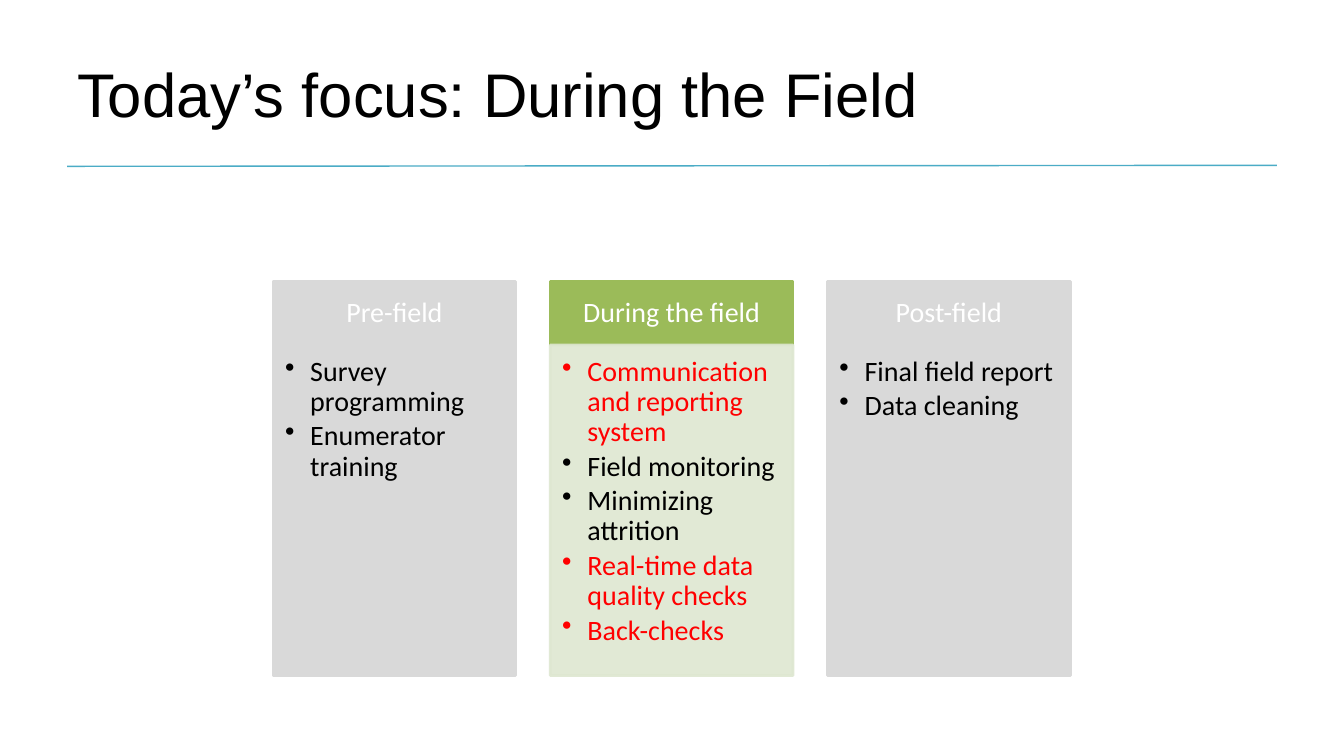
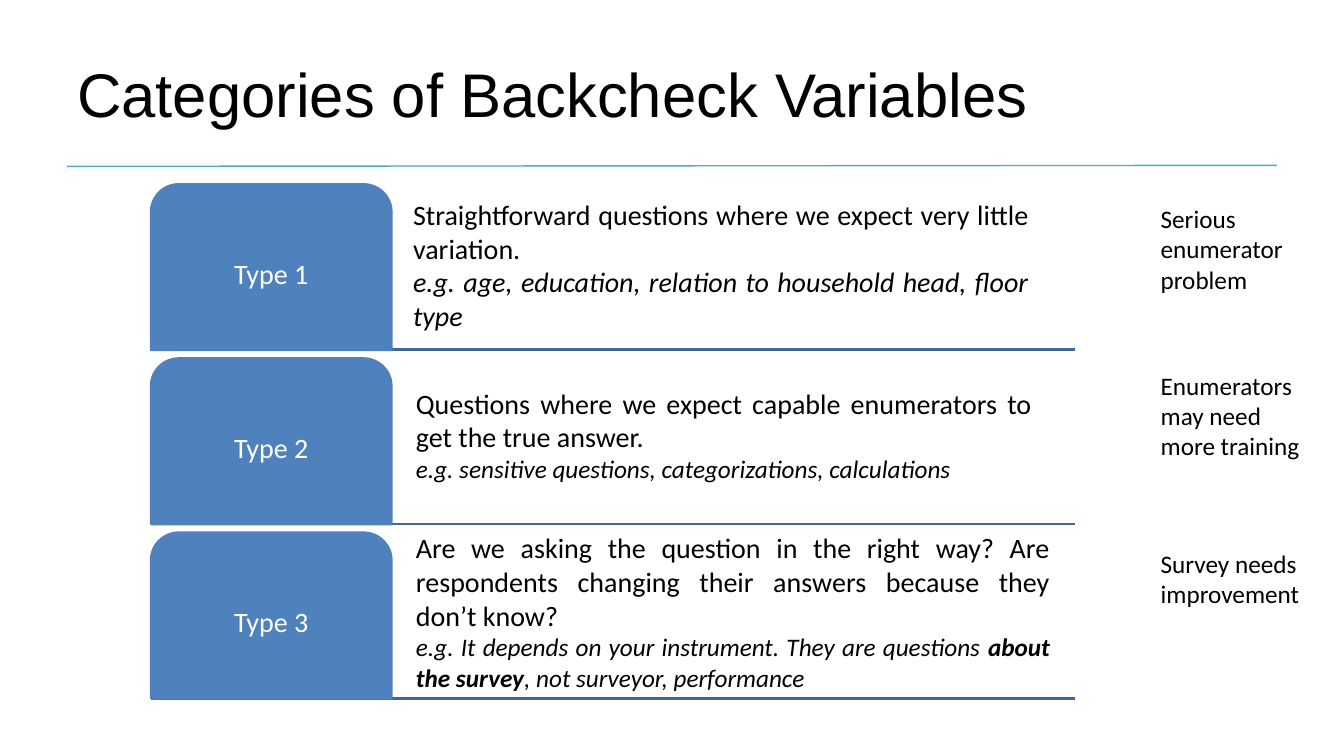
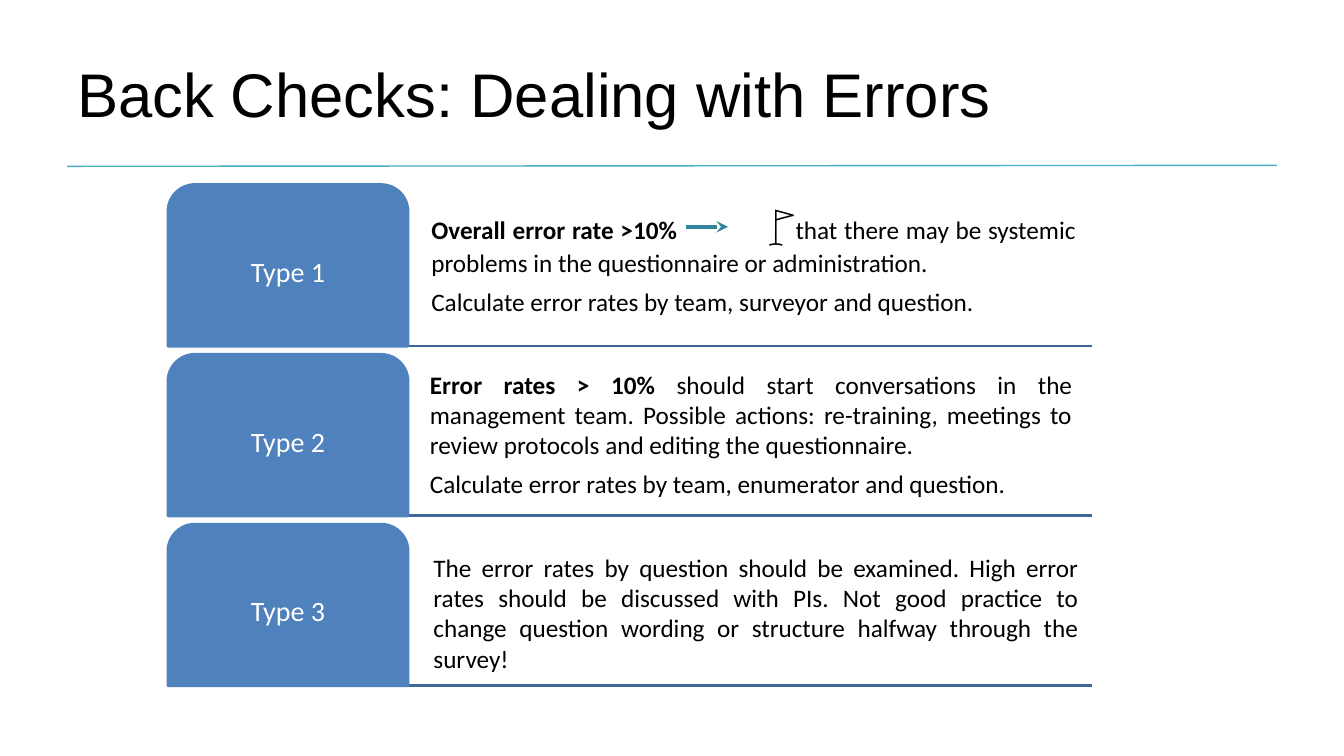
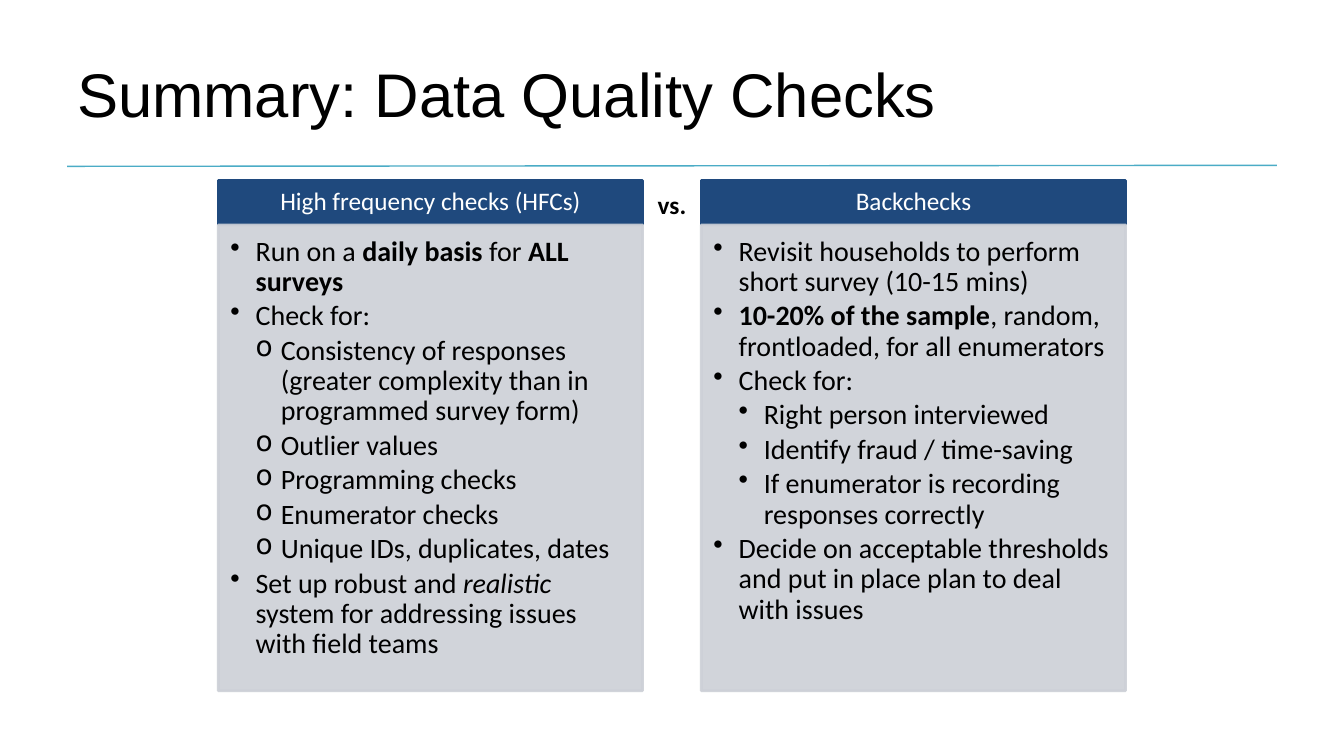
from dataclasses import dataclass

from lxml import etree
from pptx import Presentation
from pptx.dml.color import RGBColor
from pptx.enum.shapes import MSO_CONNECTOR, MSO_SHAPE
from pptx.enum.text import MSO_ANCHOR, PP_ALIGN
from pptx.oxml.ns import qn
from pptx.util import Pt

STRAIGHT = MSO_CONNECTOR.STRAIGHT
RECT = MSO_SHAPE.RECTANGLE
TAB = MSO_SHAPE.ROUND_2_SAME_RECTANGLE
TOP, MIDDLE = MSO_ANCHOR.TOP, MSO_ANCHOR.MIDDLE
LEFT, CENTER, JUSTIFY = PP_ALIGN.LEFT, PP_ALIGN.CENTER, PP_ALIGN.JUSTIFY


@dataclass(frozen=True)
class Theme:
    title_font: str = "Arial"
    font: str = "Calibri"
    title: int = 44
    flag: int = 28
    large: int = 20
    small: int = 18
    black: str = "000000"
    white: str = "FFFFFF"
    red: str = "FF0000"
    rule: str = "4BACC6"
    grey: str = "D9D9D9"
    green: str = "9BBB59"
    pale_green: str = "DEE7D1"
    blue: str = "4F81BD"
    row_line: str = "3F6797"
    arrow: str = "31859C"
    navy: str = "1F497D"
    pale_navy: str = "CDD0D7"


T = Theme()
INSETS = (7.2, 3.6, 7.2, 3.6)
BODY_INSETS = (8.6, 8.6, 11.5, 12.2)
BULLET_INDENT = 18
BOLD = {"bold": True}
ITALIC = {"italic": True}


def para(*runs, **fmt):
    """A paragraph: runs are strings or (string, format) pairs."""
    return runs, fmt


def bullet(*runs, level=1, char="•", **fmt):
    return para(*runs, level=level, bullet=char, line=0.9, after=3, **fmt)


def write(tf, paras, **base):
    for i, item in enumerate(paras):
        runs, own = para(item) if isinstance(item, str) else item
        fmt = {**base, **own}
        p = tf.paragraphs[0] if i == 0 else tf.add_paragraph()
        p.alignment = fmt.get("align", LEFT)
        p.line_spacing = fmt.get("line", 1.0)
        p.space_before = Pt(fmt.get("before", 0))
        p.space_after = Pt(fmt.get("after", 0))
        pPr = p._p.get_or_add_pPr()
        if "bullet" in fmt:
            pPr.set("marL", str(Pt(BULLET_INDENT * fmt["level"])))
            pPr.set("indent", str(Pt(-BULLET_INDENT)))
            etree.SubElement(pPr, qn("a:buChar"), char=fmt["bullet"])
        if "tab" in fmt:
            tabs = etree.SubElement(pPr, qn("a:tabLst"))
            etree.SubElement(tabs, qn("a:tab"), pos=str(Pt(fmt["tab"])), algn="l")
        for run in runs:
            text, extra = (run, {}) if isinstance(run, str) else run
            look = {**fmt, **extra}
            r = p.add_run()
            r.text = text
            r.font.name = look.get("font", T.font)
            r.font.size = Pt(look.get("size", T.large))
            r.font.bold = look.get("bold", False)
            r.font.italic = look.get("italic", False)
            r.font.color.rgb = RGBColor.from_string(look.get("color", T.black))


def set_frame(tf, anchor, insets, wrap=True):
    tf.word_wrap = wrap
    tf.vertical_anchor = anchor
    tf.margin_left, tf.margin_top, tf.margin_right, tf.margin_bottom = map(Pt, insets)


def add_text(s, box, paras, anchor=TOP, wrap=True, **fmt):
    sp = s.shapes.add_textbox(*map(Pt, box))
    set_frame(sp.text_frame, anchor, INSETS, wrap)
    write(sp.text_frame, paras, **fmt)


def add_box(s, kind, box, fill, paras, anchor=MIDDLE, insets=INSETS, alpha=100, **fmt):
    sp = s.shapes.add_shape(kind, *map(Pt, box))
    sp.shadow.inherit = False
    sp.line.width = Pt(2)
    for paint in (sp.fill, sp.line.fill):
        paint.solid()
        paint.fore_color.rgb = RGBColor.from_string(fill)
    if alpha < 100:
        for clr in sp._element.spPr.iter(qn("a:srgbClr")):
            etree.SubElement(clr, qn("a:alpha"), val=str(alpha * 1000))
    set_frame(sp.text_frame, anchor, insets)
    write(sp.text_frame, paras, **fmt)
    return sp


def add_line(s, x1, y1, x2, y2, color, width, arrow=False):
    cx = s.shapes.add_connector(STRAIGHT, Pt(x1), Pt(y1), Pt(x2), Pt(y2))
    cx.line.color.rgb = RGBColor.from_string(color)
    cx.line.width = Pt(width)
    if arrow:
        etree.SubElement(cx.line._get_or_add_ln(), qn("a:tailEnd"), type="stealth")
    etree.SubElement(cx._element.spPr, qn("a:effectLst"))


def titled_slide(prs, title):
    s = prs.slides.add_slide(prs.slide_layouts[6])
    add_line(s, 912, 118.1, 48, 118.8, T.rule, 1)
    add_text(s, (48, 21.6, 864, 90), [title], MIDDLE, font=T.title_font, size=T.title)
    return s


def column(s, box, head_h, head, items, head_color, body_color, alpha=100, size=T.large):
    """A heading band above a panel of bullets, filling the box."""
    x, y, w, h = box
    add_box(s, RECT, (x, y, w, head_h), head_color, [head],
            align=CENTER, line=0.9, color=T.white, size=size)
    add_box(s, RECT, (x, y + head_h, w, h - head_h), body_color, items, TOP,
            BODY_INSETS, alpha)


def type_rows(s, box, pitch, rows, **fmt):
    """Numbered tabs with underlines; each row gives its text's x, y, width and paragraphs."""
    x, y, w, h = box
    for i, (dx, dy, text_w, paras) in enumerate(rows):
        top = y + i * pitch
        add_line(s, x, top + h, x + w, top + h, T.row_line, 2)
        sp = add_box(s, TAB, (x, top, 171.5, h), T.blue, [f"Type {i + 1}"],
                     insets=(3, 8.5, 3, 3), align=CENTER, line=0.9, color=T.white)
        sp.adjustments[0], sp.adjustments[1] = 0.167, 0
        add_text(s, (x + dx, top + dy, text_w, h - dy), paras, align=JUSTIFY, **fmt)


def focus_slide(prs):
    s = titled_slide(prs, "Today’s focus: During the Field")
    red = {"color": T.red}
    columns = [
        ("Pre-field", T.grey, T.grey, 100,
         [bullet("Survey programming"), bullet("Enumerator training")]),
        ("During the field", T.green, T.pale_green, 90,
         [bullet("Communication and reporting system", **red),
          bullet("Field monitoring"),
          bullet("Minimizing attrition"),
          bullet("Real-time data quality checks", **red),
          bullet("Back-checks", **red)]),
        ("Post-field", T.grey, T.grey, 100,
         [bullet("Final field report"), bullet("Data cleaning")]),
    ]
    for i, (head, head_color, body_color, alpha, items) in enumerate(columns):
        column(s, (195 + i * 198, 201, 173.5, 281.5), 45.5, head, items,
               head_color, body_color, alpha)


def categories_slide(prs):
    s = titled_slide(prs, "Categories of Backcheck Variables")
    small = {"size": T.small, **ITALIC}
    x, y, pitch = 108, 131.8, 124.4
    type_rows(s, (x, y, 660, 118.1), pitch, [
        (180, 5.8, 454, [
            "Straightforward questions where we expect very little variation. ",
            para("e.g. age, education, relation to household head, floor type", **ITALIC)]),
        (182, 16, 454, [
            "Questions where we expect capable enumerators to get the true answer.",
            para("e.g. sensitive questions, categorizations, calculations", **small)]),
        (182, -5, 467, [
            "Are we asking the question in the right way? Are respondents changing "
            "their answers because they don’t know?",
            para("e.g. It depends on your instrument. They are questions ",
                 ("about the survey", BOLD), ", not surveyor, performance ", **small)]),
    ])
    verdicts = [(10, 108, "Serious enumerator problem"),
                (4.5, 120, "Enumerators may need more training"),
                (7.5, 120, "Survey needs improvement")]
    for i, (dy, w, verdict) in enumerate(verdicts):
        add_text(s, (x + 714, y + i * pitch + dy, w, 73), [verdict], size=T.small)


def errors_slide(prs):
    s = titled_slide(prs, "Back Checks: Dealing with Errors")
    x, y = 120, 131.8
    type_rows(s, (x, y, 660, 115.4), 121.3, [
        (181, 7.7, 474.5, [
            para(("Overall error rate >10%\t", BOLD), ("🚩", {"size": T.flag}),
                 "that there may be systemic problems in the questionnaire or administration. ",
                 tab=238, after=6),
            "Calculate error rates by team, surveyor and question."]),
        (180, 7, 473, [
            para(("Error rates > 10% ", BOLD),
                 "should start conversations in the management team. Possible actions: "
                 "re-training, meetings to review protocols and editing the questionnaire.",
                 before=6, after=6),
            "Calculate error rates by team, enumerator and question."]),
        (182.5, 16.5, 475, [
            para("The error rates by question should be examined. High error rates should "
                 "be discussed with PIs. Not good practice to change question wording or "
                 "structure halfway through the survey!", before=6, after=6)]),
    ], size=T.small)
    add_line(s, x + 370, y + 30.2, x + 400, y + 30.2, T.arrow, 2.75, arrow=True)


def summary_slide(prs):
    s = titled_slide(prs, "Summary: Data Quality Checks")
    checks = ["Consistency of responses (greater complexity than in programmed survey form)",
              "Outlier values", "Programming checks", "Enumerator checks",
              "Unique IDs, duplicates, dates"]
    purposes = ["Right person interviewed", "Identify fraud / time-saving",
                "If enumerator is recording responses correctly"]
    columns = [
        ("High frequency checks (HFCs)",
         [bullet("Run on a ", ("daily basis ", BOLD), "for ", ("ALL surveys", BOLD)),
          bullet("Check for:"),
          *[bullet(check, level=2, char="o") for check in checks],
          bullet("Set up robust and ", ("realistic", ITALIC),
                 " system for addressing issues with field teams")]),
        ("Backchecks",
         [bullet("Revisit households to perform short survey (10-15 mins)"),
          bullet(("10-20% of the sample", BOLD), ", random, frontloaded, for all enumerators"),
          bullet("Check for:"),
          *[bullet(purpose, level=2) for purpose in purposes],
          bullet("Decide on acceptable thresholds and put in place plan to deal with issues")]),
    ]
    x, y, w, pitch = 156, 129, 303, 345
    for i, (head, items) in enumerate(columns):
        column(s, (x + i * pitch, y, w, 364.5), 31.7, head, items,
               T.navy, T.pale_navy, 90, T.small)
    add_text(s, (x + w, y + 2.8, pitch - w, 29), ["vs."], wrap=False,
             align=CENTER, size=T.small, bold=True)


def main():
    prs = Presentation()
    prs.slide_width, prs.slide_height = Pt(960), Pt(540)
    for build in (focus_slide, categories_slide, errors_slide, summary_slide):
        build(prs)
    prs.save("out.pptx")


if __name__ == "__main__":
    main()
